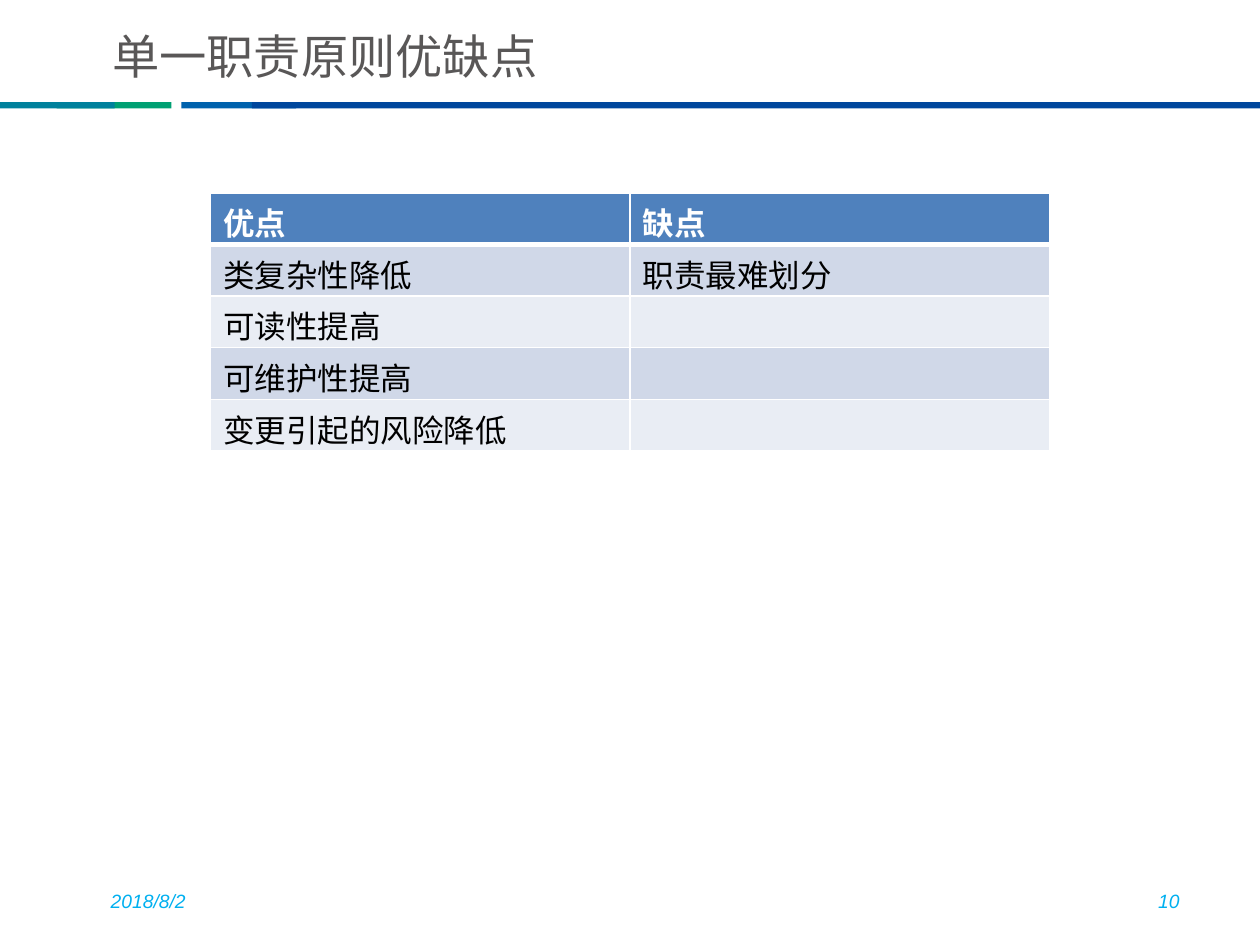
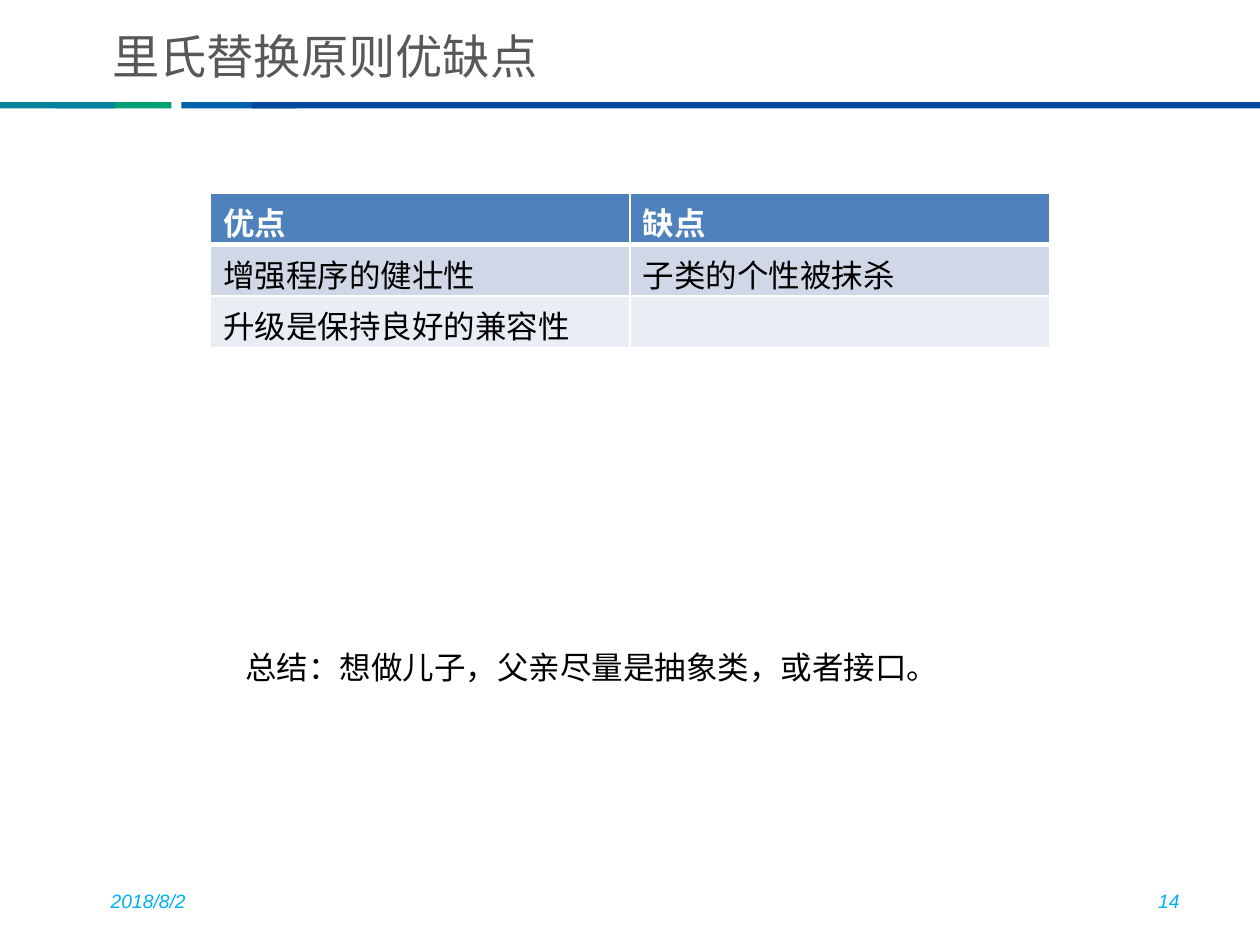
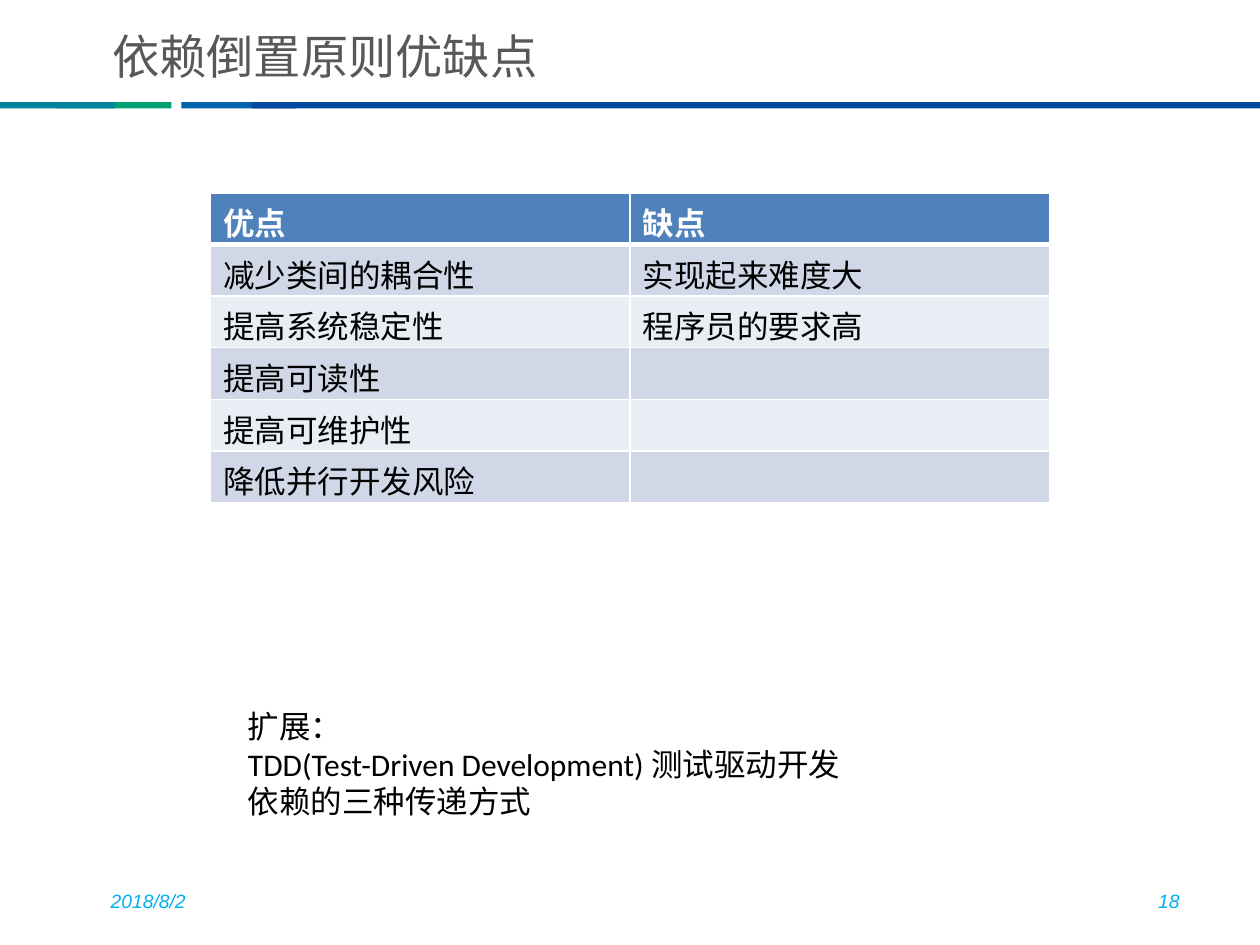
from lxml.etree import SubElement
from pptx import Presentation
from pptx.dml.color import RGBColor
from pptx.enum.shapes import MSO_SHAPE
from pptx.enum.text import MSO_ANCHOR, MSO_AUTO_SIZE, PP_ALIGN
from pptx.oxml.ns import qn
from pptx.util import Inches, Pt

CJK_FONT = "Noto Sans CJK SC"
TITLE_STYLE = {"name": CJK_FONT, "size": Pt(27), "bold": False, "color": "595757"}
FOOTER_STYLE = {"name": "Arial", "size": Pt(11), "italic": True, "color": "00B0F0"}
BODY_STYLE = {"name": "Calibri", "size": Pt(18), "bold": False, "color": "000000"}
HEADER_STYLE = {**BODY_STYLE, "bold": True, "color": "FFFFFF"}

HEADER_FILL = "4F81BD"
ROW_FILLS = ["D0D8E8", "E9EDF4"]
RULE_COLOR = "FFFFFF"

# left, width, colour, from back to front
BANDS = [
    (0.45, 0.91, "00A073"),
    (1.44, 0.91, "0062AD"),
    (2, 8, "00479D"),
    (0, 0.91, "00819C"),
]
BAND_TOP, BAND_HEIGHT = 0.81, 0.05
TABLE_LEFT, TABLE_TOP = 1.67, 1.53
COLUMN_WIDTH, ROW_HEIGHT = 3.33, 0.41
DATE = "2018/8/2"

PRINCIPLES = [
    {
        "title": "单一职责原则优缺点",
        "page": "10",
        "rows": [
            ("类复杂性降低", "职责最难划分"),
            ("可读性提高", ""),
            ("可维护性提高", ""),
            ("变更引起的风险降低", ""),
        ],
    },
    {
        "title": "里氏替换原则优缺点",
        "page": "14",
        "rows": [
            ("增强程序的健壮性", "子类的个性被抹杀"),
            ("升级是保持良好的兼容性", ""),
        ],
        "note": ["总结：想做儿子，父亲尽量是抽象类，或者接口。"],
        "note_place": (1.85, 5.09, 5.76, 0.4),
    },
    {
        "title": "依赖倒置原则优缺点",
        "page": "18",
        "rows": [
            ("减少类间的耦合性", "实现起来难度大"),
            ("提高系统稳定性", "程序员的要求高"),
            ("提高可读性", ""),
            ("提高可维护性", ""),
            ("降低并行开发风险", ""),
        ],
        "note": [
            "扩展：",
            "TDD(Test-Driven Development) 测试驱动开发",
            "依赖的三种传递方式",
        ],
        "note_place": (1.87, 5.56, 4.96, 1.01),
    },
]


def rgb(code):
    """Turn a hex string into a colour."""
    return RGBColor.from_string(code)


def write(frame, lines, style, align=PP_ALIGN.LEFT):
    """Fill a text frame with one styled paragraph per line."""
    frame.text = "\n".join(lines)
    for paragraph in frame.paragraphs:
        paragraph.alignment = align
        for run in paragraph.runs:
            for key, value in style.items():
                if key == "color":
                    run.font.color.rgb = rgb(value)
                else:
                    setattr(run.font, key, value)
            SubElement(run.font._element, qn("a:ea"), typeface=CJK_FONT)


deck = Presentation()
deck.slide_width, deck.slide_height = Inches(10), Inches(7.5)
title_only = deck.slide_layouts[5]

for principle in PRINCIPLES:
    slide = deck.slides.add_slide(title_only)

    for left, width, color in BANDS:
        band = slide.shapes.add_shape(
            MSO_SHAPE.RECTANGLE, Inches(left), Inches(BAND_TOP),
            Inches(width), Inches(BAND_HEIGHT))
        band.shadow.inherit = False
        band.fill.solid()
        band.fill.fore_color.rgb = rgb(color)
        band.line.fill.background()

    heading = slide.shapes.title
    heading.left, heading.top = Inches(0.79), Inches(0.17)
    heading.width, heading.height = Inches(5.98), Inches(0.54)
    heading.text_frame.auto_size = MSO_AUTO_SIZE.NONE
    heading.text_frame.vertical_anchor = MSO_ANCHOR.MIDDLE
    write(heading.text_frame, [principle["title"]], TITLE_STYLE)

    for left, text, align in [(0.78, DATE, PP_ALIGN.LEFT),
                              (7.13, principle["page"], PP_ALIGN.RIGHT)]:
        footer = slide.shapes.add_textbox(
            Inches(left), Inches(6.95), Inches(2.33), Inches(0.4)).text_frame
        footer.word_wrap = True
        footer.vertical_anchor = MSO_ANCHOR.MIDDLE
        write(footer, [text], FOOTER_STYLE, align)

    rows = [("优点", "缺点"), *principle["rows"]]
    comparison = slide.shapes.add_table(
        len(rows), 2, Inches(TABLE_LEFT), Inches(TABLE_TOP),
        Inches(2 * COLUMN_WIDTH), Inches(len(rows) * ROW_HEIGHT)).table
    for column in comparison.columns:
        column.width = Inches(COLUMN_WIDTH)
    for r, row in enumerate(rows):
        comparison.rows[r].height = Inches(ROW_HEIGHT)
        for c, text in enumerate(row):
            cell = comparison.cell(r, c)
            write(cell.text_frame, [text], BODY_STYLE if r else HEADER_STYLE)
            # The rule between header and body is the heavy one
            rules = {"lnL": 1, "lnR": 1, "lnT": 3 if r == 1 else 1, "lnB": 1 if r else 3}
            properties = cell._tc.get_or_add_tcPr()
            for side, points in rules.items():
                rule = SubElement(properties, qn(f"a:{side}"), w=str(Pt(points)))
                paint = SubElement(rule, qn("a:solidFill"))
                SubElement(paint, qn("a:srgbClr"), val=RULE_COLOR)
            cell.fill.solid()
            cell.fill.fore_color.rgb = rgb(ROW_FILLS[(r - 1) % 2] if r else HEADER_FILL)

    if "note" in principle:
        place = [Inches(length) for length in principle["note_place"]]
        note = slide.shapes.add_textbox(*place).text_frame
        note.word_wrap = False
        note.auto_size = MSO_AUTO_SIZE.SHAPE_TO_FIT_TEXT
        write(note, principle["note"], BODY_STYLE)

deck.save("out.pptx")
